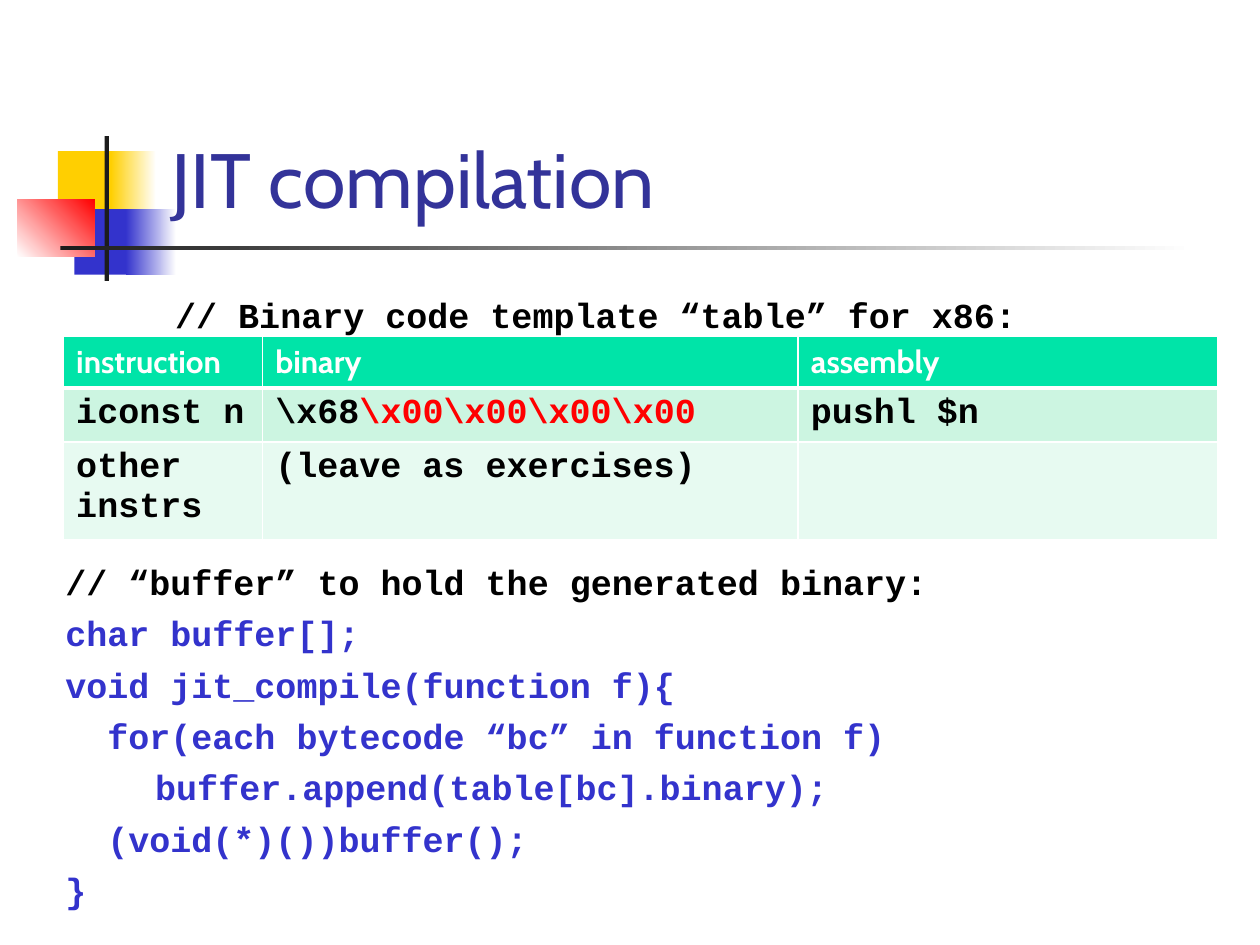
from lxml.etree import SubElement
from pptx import Presentation
from pptx.dml.color import RGBColor as RGB
from pptx.enum.shapes import MSO_SHAPE as Shape
from pptx.enum.text import MSO_ANCHOR as Anchor, MSO_AUTO_SIZE as AutoSize, PP_ALIGN as Align
from pptx.oxml.ns import qn
from pptx.util import Inches, Pt

COLORS = {
    "yellow": "FFCF01", "blue": "3333CC", "red": "FF0000", "white": "FFFFFF",
    "dark": "1C1C1C", "title": "333399", "black": "000000",
    "header": "00E4A8", "band": "CCF5E1", "pale": "E7FAF1",
}
FONTS = {
    "title": {"name": "Cabin", "size": Pt(44), "bold": False},
    "header": {"name": "Cabin", "size": Pt(18), "bold": True},
    "code": {"name": "Courier New", "size": Pt(20), "bold": True},
}
HANG = Inches(0.38)
CODE_GAP = Pt(5.3)
CODE_FRAME = {"word_wrap": True, "auto_size": AutoSize.NONE,
              "vertical_anchor": Anchor.TOP, "margin_top": Inches(0.12)}


def rgb(color):
    return RGB.from_string(COLORS[color])


class Deck:
    """Current slide and its style; boxes are (x, y, w, h) in percent of the slide."""

    def __init__(self):
        self.prs = Presentation()
        self.prs.slide_width, self.prs.slide_height = Inches(10), Inches(7.5)
        self.s = self.prs.slides.add_slide(self.prs.slide_layouts[1])

    def across(self, share):
        return round(self.prs.slide_width * share / 100)

    def down(self, share):
        return round(self.prs.slide_height * share / 100)

    def box(self, x, y, w, h):
        return self.across(x), self.down(y), self.across(w), self.down(h)

    def place(self, ph, box):
        """Move a placeholder to the box and in front of everything drawn so far."""
        ph.left, ph.top, ph.width, ph.height = self.box(*box)
        self.s.shapes._spTree.append(ph._element)
        return ph.text_frame

    def run(self, p, text, font, color):
        r = p.add_run()
        r.text = text
        for name, value in FONTS[font].items():
            setattr(r.font, name, value)
        r.font.color.rgb = rgb(color)

    def block(self, box, *colors, angle=0):
        """Rectangle with one plain colour or a gradient between two."""
        sp = self.s.shapes.add_shape(Shape.RECTANGLE, *self.box(*box))
        sp.shadow.inherit = False
        sp.line.fill.background()
        if len(colors) == 1:
            sp.fill.solid()
            sp.fill.fore_color.rgb = rgb(colors[0])
            return
        sp.fill.gradient()
        sp.fill.gradient_angle = angle
        for stop, color in zip(sp.fill.gradient_stops, colors):
            stop.color.rgb = rgb(color)

    def title(self, text, box):
        tf = self.place(self.s.shapes.title, box)
        tf.auto_size, tf.vertical_anchor = AutoSize.NONE, Anchor.BOTTOM
        p = tf.paragraphs[0]
        p.alignment = Align.LEFT
        self.run(p, text, "title", "title")

    def code(self, tf, lines):
        for name, value in CODE_FRAME.items():
            setattr(tf, name, value)
        for i, (text, color) in enumerate(lines):
            p = tf.add_paragraph() if i else tf.paragraphs[0]
            p.space_before = CODE_GAP if i else Pt(0)
            pPr = p._p.get_or_add_pPr()
            pPr.set("marL", str(HANG))
            pPr.set("indent", str(-HANG))
            SubElement(pPr, qn("a:buNone"))
            self.run(p, text, "code", color)

    def body(self, box, lines):
        self.code(self.place(self.s.placeholders[1], box), lines)

    def code_box(self, box, lines):
        self.code(self.s.shapes.add_textbox(*self.box(*box)).text_frame, lines)

    def borders(self, cell, bottom):
        tcPr = cell._tc.get_or_add_tcPr()
        for i, (side, width) in enumerate({"L": 1, "R": 1, "T": 1, "B": bottom}.items()):
            ln = tcPr.makeelement(qn(f"a:ln{side}"), w=str(Pt(width)))
            fill = SubElement(ln, qn("a:solidFill"))
            SubElement(fill, qn("a:srgbClr"), val=COLORS["white"])
            tcPr.insert(i, ln)

    def table(self, x, y, widths, heights, rows, fills):
        """Table whose cells are lists of (text, colour) runs."""
        box = self.box(x, y, sum(widths), sum(heights))
        tbl = self.s.shapes.add_table(len(rows), len(widths), *box).table
        for col, width in zip(tbl.columns, widths):
            col.width = self.across(width)
        for i, (row, height) in enumerate(zip(tbl.rows, heights)):
            row.height = self.down(height)
            for cell, runs in zip(row.cells, rows[i]):
                cell.fill.solid()
                cell.fill.fore_color.rgb = rgb(fills[i])
                self.borders(cell, 1 if i else 3)
                for text, color in runs:
                    self.run(cell.text_frame.paragraphs[0], text,
                             "code" if i else "header", color)


def main():
    deck = Deck()
    deck.block((4.6, 16, 4.8, 6.93), "yellow")
    deck.block((8.8, 16, 3.6, 6.93), "yellow", "white")
    deck.block((5.9, 22.13, 4.6, 6.93), "blue")
    deck.block((10, 22.13, 4, 6.93), "blue", "white")
    deck.block((1.4, 21.07, 6.1, 6.13), "white", "red", angle=45)
    deck.block((8.3, 14.4, 0.35, 15.33), "dark")
    deck.block((4.8, 26, 90, 0.5), "dark", "white")

    deck.title("JIT compilation", (12.6, 3.07, 85.2, 21.33))
    deck.body((12.9, 29.47, 85, 6.13),
              [("// Binary code template “table” for x86:", "black")])
    deck.code_box((4.2, 57.73, 85, 40), [
        ("// “buffer” to hold the generated binary:", "black"),
        ("char buffer[];", "blue"),
        ("void jit_compile(function f){", "blue"),
        ("  for(each bytecode “bc” in function f)", "blue"),
        ("  \t  buffer.append(table[bc].binary);", "blue"),
        ("  (void(*)())buffer();", "blue"),
        ("}", "blue"),
    ])
    deck.table(5.05, 35.6, (15.8, 42.5, 33.3), (5.47, 5.73, 10.27), [
        [[(name, "white")] for name in ("instruction", "binary", "assembly")],
        [[("iconst n", "black")],
         [(r"\x68", "black"), (r"\x00\x00\x00\x00", "red")],
         [("pushl $n", "black")]],
        [[("other instrs", "black")], [("(leave as exercises)", "black")], []],
    ], ("header", "band", "pale"))
    deck.prs.save("out.pptx")


if __name__ == "__main__":
    main()
